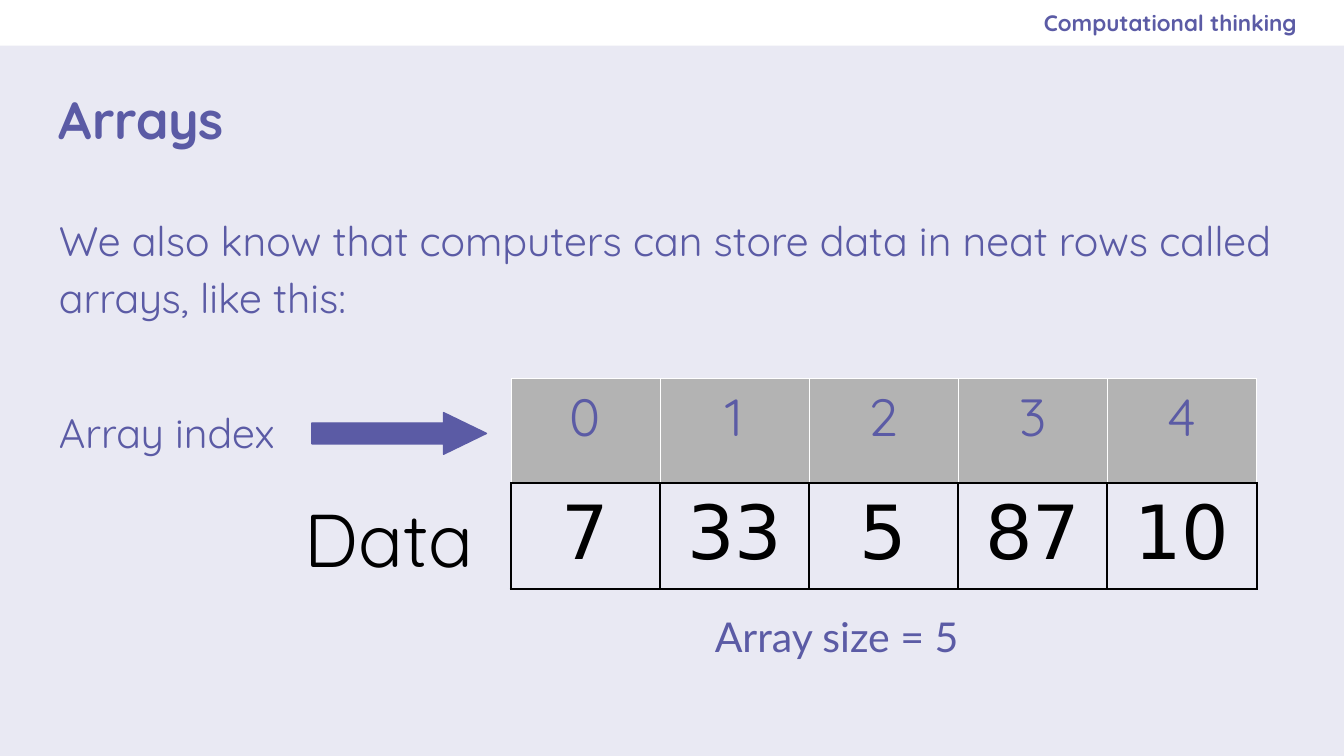
"""Build the slide that introduces arrays with an indexed row of data."""
from dataclasses import dataclass

from lxml import etree
from pptx import Presentation
from pptx import util as u
from pptx.dml import color
from pptx.enum import shapes, text
from pptx.oxml import ns


@dataclass(frozen=True)
class Theme:
    ground: str = "E9E9F3"
    white: str = "FFFFFF"
    purple: str = "5B5BA5"
    gray: str = "B3B3B3"
    black: str = "000000"
    main: str = "Quicksand"
    label: str = "Lato"
    digits: str = "DejaVu Sans"
    small: float = 12
    body: float = 22
    heading: float = 28
    large: float = 40


THEME = Theme()
WIDTH = 10
HEIGHT = WIDTH * 9 / 16


@dataclass(frozen=True)
class Style:
    size: float = THEME.body
    name: str = THEME.main
    ink: str = THEME.purple
    bold: bool = False
    align: text.PP_ALIGN = text.PP_ALIGN.LEFT


@dataclass(frozen=True)
class Label:
    words: str
    box: tuple[float, float, float, float]
    style: Style = Style()
    anchor: text.MSO_ANCHOR = text.MSO_ANCHOR.TOP
    insets: tuple[float, float, float, float] = (0.1, 0.05, 0.1, 0.05)
    spacing: float = 1.0


@dataclass(frozen=True)
class ArrayRow:
    values: tuple[int, ...]
    style: Style
    edge: str
    edge_width: float
    sides: tuple[str, ...]
    fill: str | None = None


EVEN = (0.1, 0.1, 0.1, 0.1)
MIDDLE = text.MSO_ANCHOR.MIDDLE
CENTER = text.PP_ALIGN.CENTER
LABELS = (
    Label("Computational thinking", (5.75, 0, 3.9, 0.34),
          Style(THEME.small, bold=True, align=text.PP_ALIGN.RIGHT), MIDDLE, (0.1, 0.1, 0, 0.1)),
    Label("Arrays", (0.34, 0.5, 9.27, 0.77), Style(THEME.heading, bold=True), MIDDLE, EVEN),
    Label("We also know that computers can store data in neat rows called arrays, like this:",
          (0.34, 1.45, 9.34, 3.04), insets=EVEN, spacing=1.15),
    Label("Array size = 5", (5.22, 4.5, 2.5, 0.46), Style(name=THEME.label)),
    Label("Array index", (0.34, 2.98, 2.1, 0.48)),
    Label("Data", (2.17, 3.62, 1.61, 0.75), Style(THEME.large, ink=THEME.black)),
)
DATA = (7, 33, 5, 87, 10)
ROWS = (
    ArrayRow(tuple(range(len(DATA))), Style(THEME.heading, align=CENTER),
             THEME.white, 0.06, ("L", "R", "T"), THEME.gray),
    ArrayRow(DATA, Style(THEME.large, THEME.digits, THEME.black, align=CENTER),
             THEME.black, 1.19, ("L", "R", "T", "B")),
)


def rgb(code: str) -> color.RGBColor:
    """Turn a hex code into a colour."""
    return color.RGBColor.from_string(code)


def assign(target, values: dict) -> None:
    """Set each named attribute on the target."""
    for key, value in values.items():
        setattr(target, key, value)


def write(frame, words: str, style: Style, spacing: float = 1.0) -> None:
    """Write one styled paragraph into a text frame."""
    line = frame.paragraphs[0]
    assign(line, {"alignment": style.align, "line_spacing": spacing})
    run = line.add_run()
    run.text = words
    assign(run.font, {"size": u.Pt(style.size), "name": style.name, "bold": style.bold})
    run.font.color.rgb = rgb(style.ink)


def draw_label(slide, label: Label) -> None:
    """Draw a wrapped text box."""
    frame = slide.shapes.add_textbox(*map(u.Inches, label.box)).text_frame
    left, top, right, bottom = map(u.Inches, label.insets)
    assign(frame, {"word_wrap": True, "vertical_anchor": label.anchor, "margin_left": left,
                   "margin_top": top, "margin_right": right, "margin_bottom": bottom})
    write(frame, label.words, label.style, label.spacing)


def draw_solid(slide, kind: shapes.MSO_SHAPE, box: tuple, fill: str, edge: str | None = None):
    """Draw a filled shape, outlined when an edge colour is given."""
    solid = slide.shapes.add_shape(kind, *map(u.Inches, box))
    solid.shadow.inherit = False
    solid.fill.solid()
    solid.fill.fore_color.rgb = rgb(fill)
    if edge:
        solid.line.color.rgb = rgb(edge)
        solid.line.width = u.Pt(0.75)
    else:
        solid.line.fill.background()
    return solid


def border(cell, row: ArrayRow) -> None:
    """Add the row's border to the chosen sides of a cell."""
    properties = cell._tc.get_or_add_tcPr()
    for index, side in enumerate(row.sides):
        edge = etree.Element(ns.qn(f"a:ln{side}"), w=str(int(u.Pt(row.edge_width))))
        fill = etree.SubElement(edge, ns.qn("a:solidFill"))
        etree.SubElement(fill, ns.qn("a:srgbClr"), val=row.edge)
        properties.insert(index, edge)


def draw_array(slide, rows: tuple[ArrayRow, ...]) -> None:
    """Draw the index row above the data row."""
    box = map(u.Inches, (3.8, 2.81, 5.55, 1.57))
    array = slide.shapes.add_table(len(rows), len(DATA), *box).table
    assign(array, {"first_row": False, "horz_banding": False})
    for line, row in zip(array.rows, rows):
        for cell, value in zip(line.cells, row.values):
            if row.fill:
                cell.fill.solid()
                cell.fill.fore_color.rgb = rgb(row.fill)
            else:
                cell.fill.background()
            write(cell.text_frame, str(value), row.style)
            border(cell, row)


def main() -> None:
    """Build and save the slide."""
    deck = Presentation()
    assign(deck, {"slide_width": u.Inches(WIDTH), "slide_height": u.Inches(HEIGHT)})
    slide = deck.slides.add_slide(deck.slide_layouts[6])
    slide.background.fill.solid()
    slide.background.fill.fore_color.rgb = rgb(THEME.ground)
    draw_solid(slide, shapes.MSO_SHAPE.RECTANGLE, (0, 0, WIDTH, 0.34), THEME.white)
    draw_array(slide, ROWS)
    arrow = draw_solid(slide, shapes.MSO_SHAPE.RIGHT_ARROW, (2.32, 3.07, 1.3, 0.31),
                       THEME.purple, THEME.purple)
    arrow.adjustments[1] = 1.03
    for label in LABELS:
        draw_label(slide, label)
    deck.save("out.pptx")


if __name__ == "__main__":
    main()
